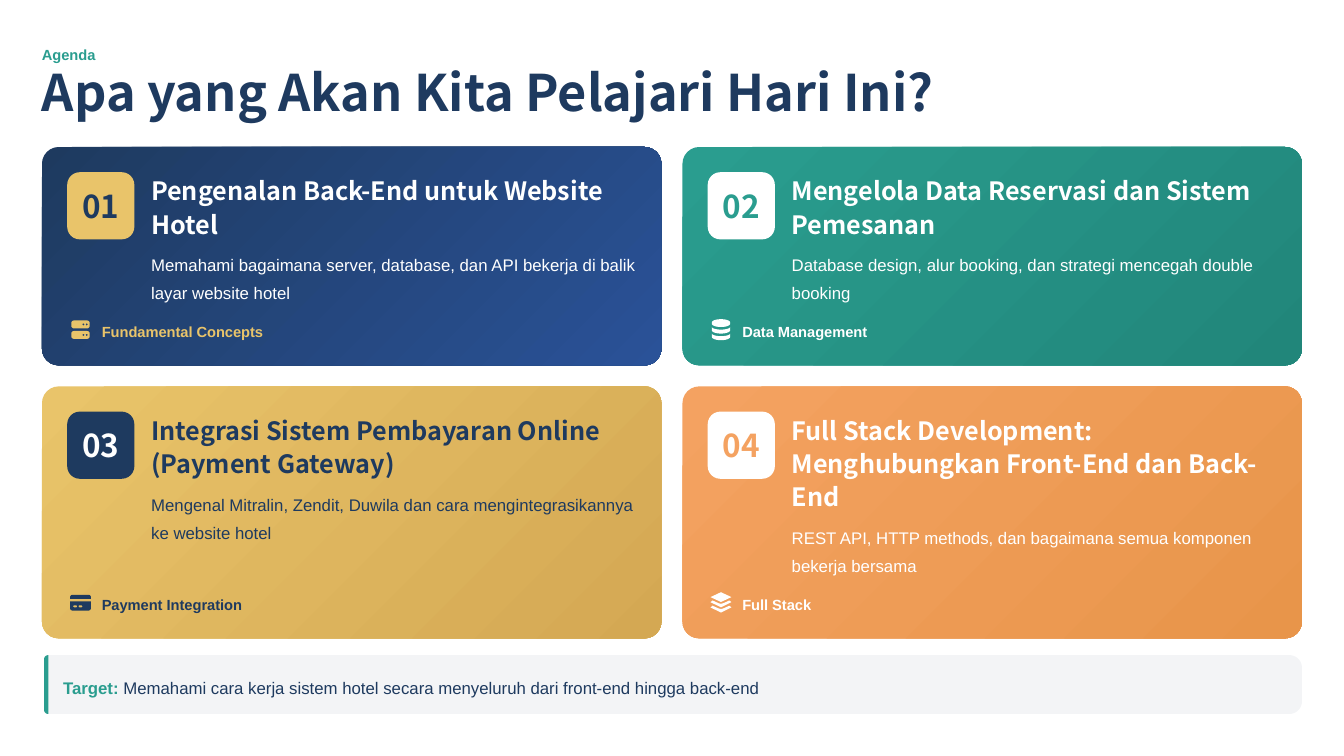
"""Build the agenda slide with four topic cards and a target bar."""
import dataclasses
import math

import pptx
import pptx.dml.color
import pptx.enum.shapes
import pptx.enum.text
import pptx.oxml.ns
import pptx.util
from lxml import etree

Pt = pptx.util.Pt


@dataclasses.dataclass(frozen=True)
class Theme:
    """Colours, fonts and type sizes of the slide."""
    navy: str = "1E3A5F"
    blue: str = "2A5298"
    teal: str = "2A9D8F"
    deep_teal: str = "21867A"
    gold: str = "E9C46A"
    deep_gold: str = "D4A853"
    orange: str = "F4A261"
    deep_orange: str = "E8954A"
    white: str = "FFFFFF"
    heading_font: str = "Noto Sans CJK SC"
    body_font: str = "Arial"
    title_size: float = 36
    number_size: float = 22.5
    card_title_size: float = 18
    body_size: float = 12
    label_size: float = 10.5


THEME = Theme()


@dataclasses.dataclass(frozen=True)
class Topic:
    """Content and colours of one card."""
    title: str
    description: str
    label: str
    icon: str
    gradient: tuple
    text: str
    accent: str
    badge: str
    number: str
    title_lines: int = 2


TOPICS = [
    Topic("Pengenalan Back-End untuk Website Hotel",
          "Memahami bagaimana server, database, dan API bekerja di balik layar website hotel",
          "Fundamental Concepts", "server", (THEME.navy, THEME.blue),
          THEME.white, THEME.gold, THEME.gold, THEME.navy),
    Topic("Mengelola Data Reservasi dan Sistem Pemesanan",
          "Database design, alur booking, dan strategi mencegah double booking",
          "Data Management", "database", (THEME.teal, THEME.deep_teal),
          THEME.white, THEME.white, THEME.white, THEME.teal),
    Topic("Integrasi Sistem Pembayaran Online (Payment Gateway)",
          "Mengenal Mitralin, Zendit, Duwila dan cara mengintegrasikannya ke website hotel",
          "Payment Integration", "card", (THEME.gold, THEME.deep_gold),
          THEME.navy, THEME.navy, THEME.navy, THEME.white),
    Topic("Full Stack Development: Menghubungkan Front-End dan Back-End",
          "REST API, HTTP methods, dan bagaimana semua komponen bekerja bersama",
          "Full Stack", "layers", (THEME.orange, THEME.deep_orange),
          THEME.white, THEME.white, THEME.white, THEME.orange, 3),
]


def rgb(colour):
    """Turn a hex string into a colour."""
    return pptx.dml.color.RGBColor.from_string(colour)


def style_run(run, size, colour, font, bold):
    """Format one run."""
    run.font.size, run.font.name, run.font.bold = Pt(size), font, bold
    run.font.color.rgb = rgb(colour)


def prepare_frame(frame):
    """Give a text frame no insets, wrapping and a middle anchor."""
    frame.margin_left = frame.margin_top = frame.margin_right = frame.margin_bottom = 0
    frame.word_wrap = True
    frame.vertical_anchor = pptx.enum.text.MSO_ANCHOR.MIDDLE


def add_text(slide, box, text, size, colour, font=THEME.body_font, bold=False, spacing=1.2):
    """Add a one-paragraph text box and return its paragraph."""
    frame = slide.shapes.add_textbox(*map(Pt, box)).text_frame
    prepare_frame(frame)
    frame.text = text
    paragraph = frame.paragraphs[0]
    paragraph.line_spacing = spacing
    style_run(paragraph.runs[0], size, colour, font, bold)
    return paragraph


def add_rounded(slide, box, radius):
    """Add a plain rounded rectangle with a corner radius in points."""
    kind = pptx.enum.shapes.MSO_SHAPE.ROUNDED_RECTANGLE
    shape = slide.shapes.add_shape(kind, *map(Pt, box))
    shape.adjustments[0] = radius / min(box[2:])
    shape.shadow.inherit = False
    shape.line.fill.background()
    return shape


def arc(centre_x, centre_y, radius_x, radius_y, start, end, steps=12):
    """List points along an elliptical arc, in degrees clockwise from the right."""
    angles = [math.radians(start + (end - start) * step / steps) for step in range(steps + 1)]
    return [(centre_x + radius_x * math.cos(a), centre_y + radius_y * math.sin(a)) for a in angles]


def rounded(x, y, width, height, radii):
    """Outline a rectangle with radii from top left clockwise."""
    points = []
    for corner, radius in enumerate(radii):
        centre_x = x + width - radius if corner in (1, 2) else x + radius
        centre_y = y + height - radius if corner in (2, 3) else y + radius
        start = 180 + 90 * corner
        points += arc(centre_x, centre_y, radius, radius, start, start + 90)
    return points


def add_outline(slide, left, top, contours, colour):
    """Add a filled freeform whose inner contours are holes."""
    scaled = [[(round(x * 100), round(y * 100)) for x, y in contour] for contour in contours]
    builder = slide.shapes.build_freeform(*scaled[0][0], scale=Pt(1) / 100)
    for index, contour in enumerate(scaled):
        if index:
            builder.move_to(*contour[0])
        builder.add_line_segments(contour[1:], close=True)
    shape = builder.convert_to_shape(Pt(left), Pt(top))
    shape.shadow.inherit = False
    shape.line.fill.background()
    shape.fill.solid()
    shape.fill.fore_color.rgb = rgb(colour)
    return shape


def icon_contours(name):
    """Outline a named icon in a 15 by 15 point square."""
    if name == "server":
        contours = []
        for y in (0.94, 8.44):
            contours.append(rounded(0.94, y, 13.12, 5.62, [1.9] * 4))
            contours += [arc(x, y + 2.81, 0.7, 0.7, 360, 0) for x in (9.6, 11.9)]
        return contours
    if name == "database":
        lid = arc(7.5, 2.35, 6.56, 2.35, 180, 360) + arc(7.5, 3.25, 6.56, 2.35, 0, 180)
        bands = [arc(7.5, y, 6.56, 1.9, 180, 0) + arc(7.5, y + 2.4, 6.56, 2.35, 0, 180)
                 for y in (5.55, 10.25)]
        return [lid, *bands]
    if name == "card":
        holes = [rounded(x, 9.4, 2.8, 1.4, [0.7] * 4)[::-1] for x in (2.3, 6.1)]
        return [rounded(0, 1.88, 15, 2.82, [1.88, 1.88, 0, 0]),
                rounded(0, 6.56, 15, 6.56, [0, 0, 1.88, 1.88]), *holes]
    chevrons = [[(x, y + shift) for x, y in
                 [(1.5, 5.9), (5.9, 7.9), (7.5, 8.3), (9.1, 7.9), (13.5, 5.9),
                  (15, 7.1), (7.5, 10.8), (0, 7.1)]] for shift in (0, 3.75)]
    return [[(7.5, 0), (15, 3.5), (7.5, 7), (0, 3.5)], *chevrons]


def add_header(slide, left, top, width):
    """Add the kicker and the slide title."""
    add_text(slide, (left, top, width, 15), "Agenda", THEME.label_size, THEME.teal, bold=True)
    add_text(slide, (left, top + 21, width, 36), "Apa yang Akan Kita Pelajari Hari Ini?",
             THEME.title_size, THEME.navy, THEME.heading_font, True, 0.8)


def add_card(slide, box, number, topic):
    """Add a topic card with badge, texts and icon label."""
    left, top, width, height = box
    card = add_rounded(slide, box, 12)
    card.fill.gradient()
    card.fill.gradient_angle = 315
    for stop, colour in zip(card.fill.gradient_stops, topic.gradient):
        stop.color.rgb = rgb(colour)

    badge = add_rounded(slide, (left + 18, top + 18, 48, 48), 9)
    badge.fill.solid()
    badge.fill.fore_color.rgb = rgb(topic.badge)
    prepare_frame(badge.text_frame)
    badge.text_frame.text = f"{number:02d}"
    paragraph = badge.text_frame.paragraphs[0]
    paragraph.alignment = pptx.enum.text.PP_ALIGN.CENTER
    style_run(paragraph.runs[0], THEME.number_size, topic.number, THEME.heading_font, True)

    title_height = 24 * topic.title_lines
    add_text(slide, (left + 78, top + 18, width - 87, title_height), topic.title,
             THEME.card_title_size, topic.text, THEME.heading_font, True, 1.1)
    add_text(slide, (left + 78, top + title_height + 24, width - 90, 39), topic.description,
             THEME.body_size, topic.text, spacing=1.4)

    label_top = top + height - 33
    add_outline(slide, left + 20, label_top, icon_contours(topic.icon), topic.accent)
    add_text(slide, (left + 42.75, label_top, 200, 15), topic.label,
             THEME.label_size, topic.accent, bold=True)


def add_target(slide, left, top, width, height):
    """Add the target bar with its accent edge."""
    bar = add_outline(slide, left, top, [rounded(0, 0, width, height, [3, 9, 9, 3])], THEME.navy)
    colour = bar.fill._xPr.find(".//" + pptx.oxml.ns.qn("a:srgbClr"))
    etree.SubElement(colour, pptx.oxml.ns.qn("a:alpha"), val="5000")
    add_outline(slide, left, top, [rounded(0, 0, 3, height, [3, 0, 0, 3])], THEME.teal)
    paragraph = add_text(slide, (left + 13.5, top + 12, width - 19.5, height - 24), "Target:",
                         THEME.body_size, THEME.teal, bold=True, spacing=1.3)
    run = paragraph.add_run()
    run.text = " Memahami cara kerja sistem hotel secara menyeluruh dari front-end hingga back-end"
    style_run(run, THEME.body_size, THEME.navy, THEME.body_font, False)


def main():
    """Build and save the presentation."""
    presentation = pptx.Presentation()
    presentation.slide_width, presentation.slide_height = Pt(960), Pt(540)
    slide = presentation.slides.add_slide(presentation.slide_layouts[6])
    margin, gap, card_width = 30, 15, 442.5
    add_header(slide, margin, 30, 905)
    rows = [(105, 156), (276, 180)]
    for index, topic in enumerate(TOPICS):
        row, column = divmod(index, 2)
        top, height = rows[row]
        left = margin + column * (card_width + gap)
        add_card(slide, (left, top, card_width, height), index + 1, topic)
    add_target(slide, 31.5, 468, 898.5, 42)
    presentation.save("out.pptx")


if __name__ == "__main__":
    main()
